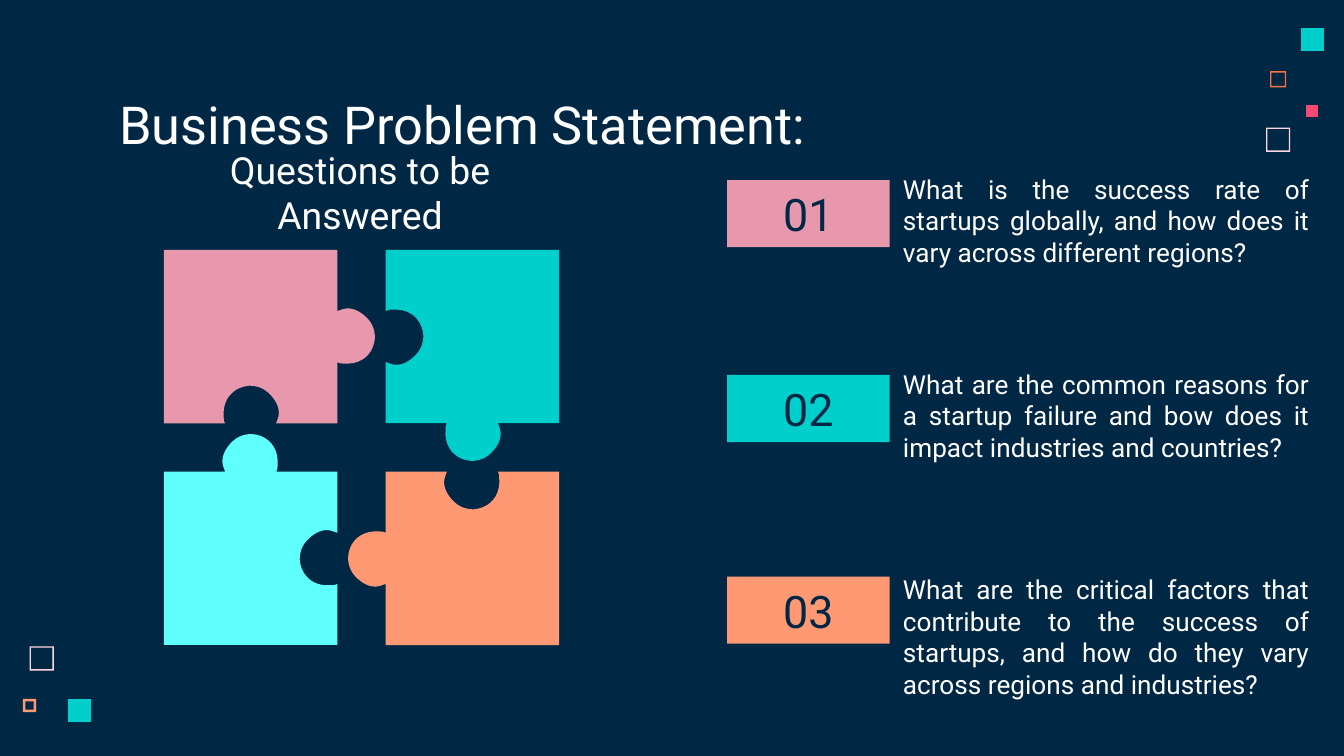
from pptx import Presentation
from pptx import util as u
from pptx.dml.color import RGBColor
from pptx.enum import shapes, text

COLORS = {
    "navy": "002845", "white": "FFFFFF", "pink": "E898AC", "teal": "00CFCC",
    "orange": "FF9973", "cyan": "5EFFFD", "blush": "FFD6E1",
    "rust": "FC723F", "rose": "F64975",
}
FONT = "Roboto"
WIDTH = 10
HEIGHT = WIDTH * 9 / 16

TITLE = "Business Problem Statement:"
SUBTITLE = "Questions to be Answered"
QUESTIONS = [
    ("01", "What is the success rate of startups globally, and how does it vary "
           "across different regions?", "pink", 1.34, 1.19),
    ("02", "What are the common reasons for a startup failure and bow does it impact "
           "industries and countries?", "teal", 2.79, 2.64),
    ("03", "What are the critical factors that contribute to the success of startups, "
           "and how do they vary across regions and industries?", "orange", 4.29, 4.17),
]
LABEL_LEFT, LABEL_WIDTH, LABEL_HEIGHT = 5.41, 1.21, 0.5
QUESTION_WIDTH, QUESTION_HEIGHT = 3.22, 0.53

SOLID, THIN, THICK = 0, 0.01, 0.02
DECORATIONS = [
    (9.42, 0.95, 0.18, "blush", THIN),
    (9.45, 0.53, 0.12, "rust", THIN),
    (9.68, 0.21, 0.17, "teal", SOLID),
    (0.17, 5.2, 0.1, "orange", THICK),
    (9.72, 0.78, 0.09, "rose", SOLID),
    (0.22, 4.81, 0.18, "blush", THIN),
    (0.51, 5.2, 0.17, "teal", SOLID),
]

PUZZLE_LEFT, PUZZLE_TOP, PIECE, PITCH = 1.22, 1.86, 1.29, 1.65
KNOB, FLAT, NOTCH = 1, 0, -1
PIECES = [
    (0, 0, "pink", (FLAT, KNOB, NOTCH, FLAT)),
    (1, 1, "orange", (NOTCH, FLAT, FLAT, KNOB)),
    (1, 0, "teal", (FLAT, FLAT, KNOB, NOTCH)),
    (0, 1, "cyan", (KNOB, NOTCH, FLAT, FLAT)),
]
DIRECTIONS = [(1, 0), (0, 1), (-1, 0), (0, -1)]
TAB_START = (-0.19, 0)
TAB_CURVES = [
    ((-0.2, 0.03), (-0.21, 0.05), (-0.21, 0.08)),
    ((-0.21, 0.13), (-0.18, 0.18), (-0.14, 0.22)),
    ((-0.1, 0.26), (-0.05, 0.28), (0.01, 0.28)),
    ((0.13, 0.27), (0.21, 0.18), (0.2, 0.05)),
    ((0.2, 0.03), (0.2, 0.02), (0.19, 0)),
]
STEPS = 10


def color(name):
    return RGBColor.from_string(COLORS[name])


def paint(shape, fill):
    shape.shadow.inherit = False
    shape.fill.solid()
    shape.fill.fore_color.rgb = color(fill)
    shape.line.fill.background()


def draw_outline(page, contours, fill):
    points = [[(u.Inches(x), u.Inches(y)) for x, y in contour] for contour in contours]
    builder = page.shapes.build_freeform(*points[0][0])
    builder.add_line_segments(points[0][1:], close=True)
    for contour in points[1:]:
        builder.move_to(*contour[0])
        builder.add_line_segments(contour[1:], close=True)
    paint(builder.convert_to_shape(), fill)


def square(left, top, side):
    right, bottom = left + side, top + side
    return [(left, top), (right, top), (right, bottom), (left, bottom)]


def bezier(points, t):
    weights = ((1 - t) ** 3, 3 * t * (1 - t) ** 2, 3 * t * t * (1 - t), t ** 3)
    return tuple(sum(w * p[axis] for w, p in zip(weights, points)) for axis in (0, 1))


def tab_profile():
    profile = [TAB_START]
    for curve in TAB_CURVES:
        points = (profile[-1], *curve)
        profile += [bezier(points, step / STEPS) for step in range(1, STEPS + 1)]
    return profile


def piece_outline(left, top, edges):
    outline = []
    for (x, y), (dx, dy), edge in zip(square(left, top, PIECE), DIRECTIONS, edges):
        outline.append((x, y))
        if edge != FLAT:
            for along, out in tab_profile():
                run, rise = PIECE / 2 + along, edge * out
                outline.append((x + dx * run + dy * rise, y + dy * run - dx * rise))
    return outline


def write(shape, words, size, ink, align, anchor):
    frame = shape.text_frame
    frame.word_wrap = True
    frame.vertical_anchor = anchor
    frame.margin_left = frame.margin_right = u.Inches(0.1)
    frame.margin_top = frame.margin_bottom = u.Inches(0.1)
    para = frame.paragraphs[0]
    para.text = words
    para.alignment = align
    para.font.name = FONT
    para.font.size = u.Pt(size)
    para.font.color.rgb = color(ink)


def add_text(page, area, words, size, align, anchor=text.MSO_ANCHOR.TOP):
    box = page.shapes.add_textbox(*map(u.Inches, area))
    write(box, words, size, "white", align, anchor)


def main():
    deck = Presentation()
    deck.slide_width, deck.slide_height = u.Inches(WIDTH), u.Inches(HEIGHT)
    page = deck.slides.add_slide(deck.slide_layouts[6])
    page.background.fill.solid()
    page.background.fill.fore_color.rgb = color("navy")

    for left, top, side, fill, border in DECORATIONS:
        contours = [square(left, top, side)]
        if border:
            hole = square(left + border, top + border, side - 2 * border)
            contours.append(hole[::-1])
        draw_outline(page, contours, fill)

    add_text(page, (0.79, 0.59, 8.43, 0.63), TITLE, 28, text.PP_ALIGN.LEFT)

    for number, question, fill, label_top, question_top in QUESTIONS:
        area = (LABEL_LEFT, label_top, LABEL_WIDTH, LABEL_HEIGHT)
        label = page.shapes.add_shape(shapes.MSO_SHAPE.RECTANGLE, *map(u.Inches, area))
        paint(label, fill)
        write(label, number, 24, "navy", text.PP_ALIGN.CENTER, text.MSO_ANCHOR.MIDDLE)
        area = (LABEL_LEFT + LABEL_WIDTH, question_top, QUESTION_WIDTH, QUESTION_HEIGHT)
        add_text(page, area, question, 14, text.PP_ALIGN.JUSTIFY)

    add_text(page, (1.11, 1.36, 3.14, 0.5), SUBTITLE, 20,
             text.PP_ALIGN.CENTER, text.MSO_ANCHOR.BOTTOM)

    for column, row, fill, edges in PIECES:
        left, top = PUZZLE_LEFT + column * PITCH, PUZZLE_TOP + row * PITCH
        draw_outline(page, [piece_outline(left, top, edges)], fill)

    deck.save("out.pptx")


if __name__ == "__main__":
    main()
